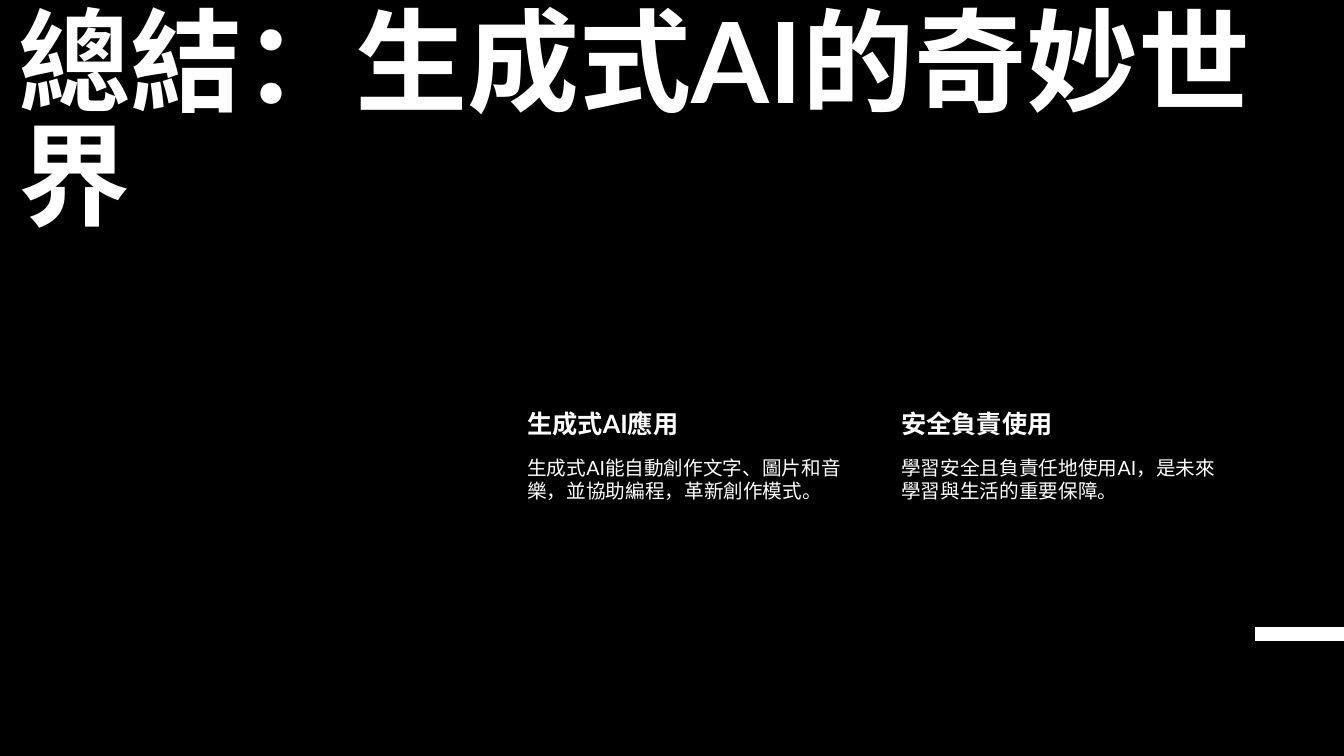
from pptx import Presentation
from pptx.dml.color import RGBColor
from pptx.enum.shapes import MSO_CONNECTOR as Line
from pptx.enum.text import MSO_ANCHOR as Anchor
from pptx.oxml.ns import qn
from pptx.util import Inches, Pt

WHITE = "FFFFFF"
BLACK = "000000"
CARDS = [
    ("生成式AI應用", "生成式AI能自動創作文字、圖片和音樂，並協助編程，革新創作模式。"),
    ("安全負責使用", "學習安全且負責任地使用AI，是未來學習與生活的重要保障。"),
]


def paint(color, code):
    color.rgb = RGBColor.from_string(code)


def add_text(slide, text, area, size, bold=False, inset=(0.1, 0.05), space=1.0):
    """Area is left, top, width, height; inset is the left one, then the others."""
    frame = slide.shapes.add_textbox(*map(Inches, area)).text_frame
    frame.word_wrap = True
    frame.vertical_anchor = Anchor.TOP
    left, rest = map(Inches, inset)
    frame.margin_left = left
    frame.margin_top = frame.margin_right = frame.margin_bottom = rest
    frame.text = text
    para = frame.paragraphs[0]
    para.line_spacing = space
    font = para.runs[0].font
    font.name, font.size, font.bold = "Lato", Pt(size), bold
    paint(font.color, WHITE)


def add_bar(slide, start, end, y, width):
    bar = slide.shapes.add_connector(
        Line.STRAIGHT, Inches(start), Inches(y), Inches(end), Inches(y))
    bar.line.width = Pt(width)
    paint(bar.line.color, WHITE)
    props = bar._element.spPr
    props.append(props.makeelement(qn("a:effectLst"), {}))


def add_card(slide, left, head, body):
    add_text(slide, head, (left, 4.02, 3.37, 0.48), 18, True, (0.15, 0.03))
    add_text(slide, body, (left, 4.5, 3.37, 1.9), 14, False, (0.15, 0.02))


def main():
    deck = Presentation()
    deck.slide_width, deck.slide_height = Inches(13.33), Inches(7.5)
    slide = deck.slides.add_slide(deck.slide_layouts[6])
    fill = slide.background.fill
    fill.solid()
    paint(fill.fore_color, BLACK)

    add_bar(slide, 12.45, 13.33, 6.29, 9.5)
    add_text(slide, "總結：生成式AI的奇妙世界", (0.09, 0.07, 13.14, 3.68), 80, True,
             space=0.85)
    for i, (head, body) in enumerate(CARDS):
        add_card(slide, 5.08 + 3.71 * i, head, body)
    deck.save("out.pptx")


if __name__ == "__main__":
    main()
